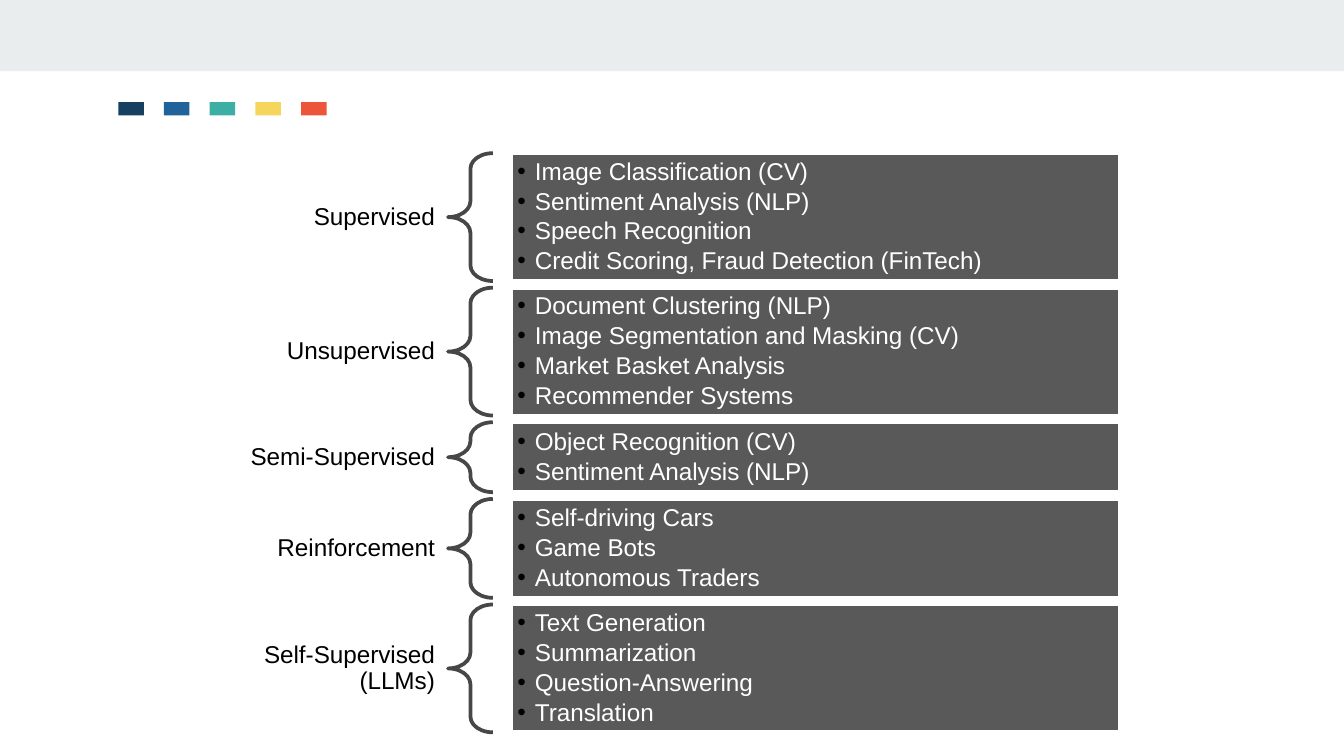
from lxml import etree
from pptx import Presentation
from pptx.dml.color import RGBColor
from pptx.enum.shapes import MSO_SHAPE
from pptx.enum.text import MSO_ANCHOR, PP_ALIGN
from pptx.oxml.ns import qn
from pptx.util import Inches, Pt

RECT, BRACE = MSO_SHAPE.RECTANGLE, MSO_SHAPE.LEFT_BRACE
LEFT, RIGHT, MIDDLE = PP_ALIGN.LEFT, PP_ALIGN.RIGHT, MSO_ANCHOR.MIDDLE

THEME = {
    "font": "Arial", "size": 13, "line": 2,
    "band": "E9EDEE", "box": "595959", "brace": "474747",
    "dark": "000000", "light": "FFFFFF",
    "chips": ["173F5F", "20639B", "3CAEA3", "F6D55C", "ED553B"],
}

# Label, lines the label takes, and its examples
ROWS = [
    ("Supervised", 1, ["Image Classification (CV)", "Sentiment Analysis (NLP)",
                       "Speech Recognition",
                       "Credit Scoring, Fraud Detection (FinTech)"]),
    ("Unsupervised", 1, ["Document Clustering (NLP)",
                         "Image Segmentation and Masking (CV)",
                         "Market Basket Analysis", "Recommender Systems"]),
    ("Semi-Supervised", 1, ["Object Recognition (CV)",
                            "Sentiment Analysis (NLP)"]),
    ("Reinforcement", 1, ["Self-driving Cars", "Game Bots",
                          "Autonomous Traders"]),
    ("Self-Supervised (LLMs)", 2, ["Text Generation", "Summarization",
                                   "Question-Answering", "Translation"]),
]

# Grid: six columns; each row's height follows its number of lines
WIDE = 10
HIGH = WIDE * 9 / 16
COL = WIDE / 6
STEP, PAD, GAP = 15.5 / 72, 0.09, 0.05

deck = Presentation()
deck.slide_width, deck.slide_height = Inches(WIDE), Inches(HIGH)
slide = deck.slides.add_slide(deck.slide_layouts[6])


def draw(kind, x, y, w, h, fill=None, line=None):
    shape = slide.shapes.add_shape(kind, *map(Inches, (x, y, w, h)))
    shape.shadow.inherit = False
    if fill:
        shape.fill.solid()
        shape.fill.fore_color.rgb = RGBColor.from_string(fill)
    else:
        shape.fill.background()
    if line:
        shape.line.color.rgb = RGBColor.from_string(line)
        shape.line.width = Pt(THEME["line"])
    else:
        shape.line.fill.background()
    return shape


def write(shape, texts, color, align, after, inset, bullet=False):
    frame = shape.text_frame
    form = {"word_wrap": True, "vertical_anchor": MIDDLE,
            "margin_left": Inches(inset[0]), "margin_right": Inches(inset[0]),
            "margin_top": Inches(inset[1]), "margin_bottom": Inches(inset[1])}
    for key, value in form.items():
        setattr(frame, key, value)
    for i, text in enumerate(texts):
        para = frame.paragraphs[0] if i == 0 else frame.add_paragraph()
        form = {"text": text, "alignment": align, "line_spacing": 0.9,
                "space_after": Pt(after), "level": int(bullet)}
        for key, value in form.items():
            setattr(para, key, value)
        if bullet:
            props = para._p.get_or_add_pPr()
            props.set("marL", str(Inches(0.13)))
            props.set("indent", str(-Inches(0.13)))
            tint = etree.SubElement(props, qn("a:buClr"))
            etree.SubElement(tint, qn("a:srgbClr"), val=THEME["dark"])
            etree.SubElement(props, qn("a:buFont"), typeface=THEME["font"])
            etree.SubElement(props, qn("a:buChar"), char="•")
        font = para.runs[0].font
        font.name, font.size = THEME["font"], Pt(THEME["size"])
        font.color.rgb = RGBColor.from_string(color)


# Top band and colour chips
draw(RECT, 0, 0, WIDE, 0.53, THEME["band"])
for i, color in enumerate(THEME["chips"]):
    draw(RECT, 0.88 + 0.34 * i, 0.76, 0.19, 0.1, color)

# One row per type of learning
top = 1.14
for label, lines, items in ROWS:
    high = PAD + STEP * len(items)

    # Label, centred on the row
    tall = 0.11 + 0.17 * lines
    name = slide.shapes.add_textbox(
        *map(Inches, (COL, top + (high - tall) / 2, COL, tall)))
    write(name, [label], THEME["dark"], RIGHT, 0, (0.1, 0.04))

    # Brace
    brace = draw(BRACE, 2 * COL, top, 0.2 * COL, high, line=THEME["brace"])
    brace.adjustments[0], brace.adjustments[1] = 0.35, 0.5

    # Box of examples
    box = draw(RECT, 2.28 * COL, top, 2.72 * COL, high,
               THEME["box"], THEME["light"])
    write(box, items, THEME["light"], LEFT, 1.9, (0.05, 0.05), bullet=True)
    top += high + GAP

deck.save("out.pptx")
